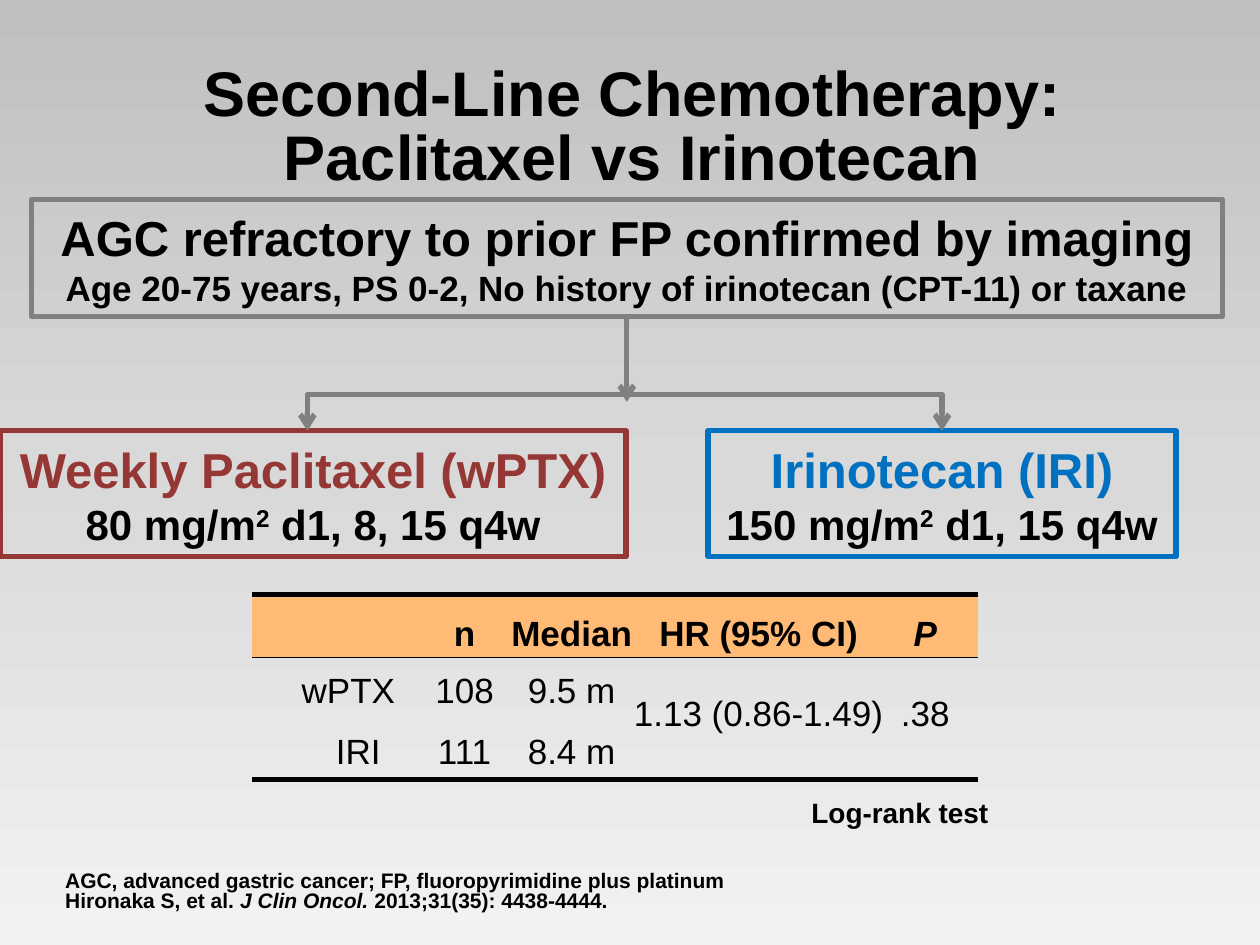
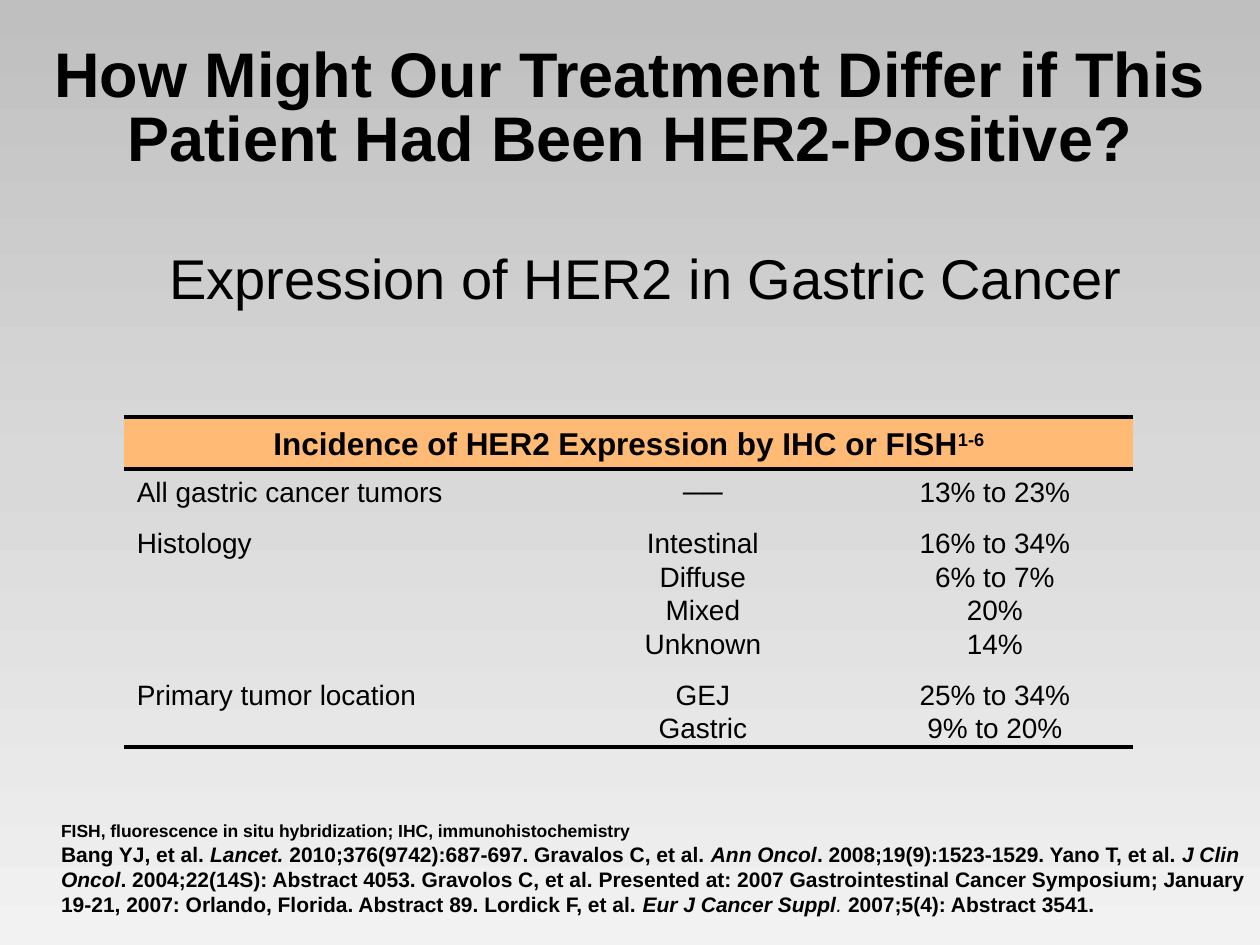
from collections import namedtuple

from lxml.etree import SubElement
from pptx import Presentation
from pptx.dml.color import RGBColor
from pptx.enum.shapes import MSO_CONNECTOR, MSO_SHAPE
from pptx.enum.text import MSO_ANCHOR, MSO_AUTO_SIZE, PP_ALIGN
from pptx.oxml.ns import qn
from pptx.util import Pt

Box = namedtuple("Box", "left top width height")

FONT = "Arial"
BLACK, GRAY = "000000", "808080"
RED, BLUE, ORANGE = "953735", "0070C0", "FFBA75"
BACKGROUND_STOPS = {0: "BFBFBF", 50: "D9D9D9", 100: "F2F2F2"}
PLAIN_TABLE_STYLE = "{2D5ABB26-0587-4C30-8999-92F81FD0307C}"
ITALIC = {"italic": True}
SUPERSCRIPT = {"baseline": 30}
CENTER, LEFT = PP_ALIGN.CENTER, PP_ALIGN.LEFT


def rgb(hex_color):
    return RGBColor.from_string(hex_color)


def points(box):
    return [Pt(length) for length in box]


def add_span(para, text, size=20, color=BLACK, bold=False, italic=False,
             font=FONT, baseline=0):
    span = para.add_run()
    span.text = text
    span.font.name = font
    span.font.size = Pt(size)
    span.font.bold = bold
    span.font.italic = italic
    span.font.color.rgb = rgb(color)
    if baseline:
        span.font._element.set("baseline", str(baseline * 1000))


def write(frame, *pieces, align=LEFT, spacing=None, new=False, **style):
    """Write one paragraph; a piece is a string or a (string, style changes) pair."""
    para = frame.add_paragraph() if new else frame.paragraphs[0]
    para.alignment = align
    if spacing:
        para.line_spacing = spacing
    for piece in pieces:
        text, changes = (piece, {}) if isinstance(piece, str) else piece
        add_span(para, text, **{**style, **changes})


def set_margins(target, left, top, right, bottom):
    target.margin_left, target.margin_top = Pt(left), Pt(top)
    target.margin_right, target.margin_bottom = Pt(right), Pt(bottom)


def add_text_box(page, box, wrap=True, anchor=MSO_ANCHOR.TOP):
    frame = page.shapes.add_textbox(*points(box)).text_frame
    frame.word_wrap = wrap
    frame.vertical_anchor = anchor
    return frame


def add_outlined_box(page, box, color):
    shape = page.shapes.add_shape(MSO_SHAPE.RECTANGLE, *points(box))
    shape.shadow.inherit = False
    shape.fill.background()
    shape.line.color.rgb = rgb(color)
    shape.line.width = Pt(3)
    frame = shape.text_frame
    frame.word_wrap = False
    frame.vertical_anchor = MSO_ANCHOR.MIDDLE
    set_margins(frame, 8.6, 4.3, 8.6, 4.3)
    return frame


def add_line(page, start, end, color=BLACK, weight=3, kind=MSO_CONNECTOR.STRAIGHT):
    line = page.shapes.add_connector(kind, *points(start + end))
    line.line.color.rgb = rgb(color)
    line.line.width = Pt(weight)
    SubElement(line._element.spPr, qn("a:effectLst"))
    return line._element.spPr


def add_arrow(page, start, end, bent=False):
    kind = MSO_CONNECTOR.ELBOW if bent else MSO_CONNECTOR.STRAIGHT
    properties = add_line(page, start, end, color=GRAY, kind=kind)
    if bent:
        properties.find(qn("a:prstGeom")).set("prst", "bentConnector2")
    SubElement(properties.find(qn("a:ln")), qn("a:tailEnd"), type="arrow")


def add_rules(page, box, header_height, weights):
    """Draw the lines above and below the header and below the table."""
    heights = (0, header_height, box.height)
    for height, weight in zip(heights, weights):
        y = box.top + height
        add_line(page, (box.left, y), (box.left + box.width, y), weight=weight)


def add_plain_table(page, box, widths, heights):
    shape = page.shapes.add_table(len(heights), len(widths), *points(box))
    table = shape.table
    table.first_row = table.horz_banding = False
    table._tbl.tblPr.find(qn("a:tableStyleId")).text = PLAIN_TABLE_STYLE
    for column, width in zip(table.columns, widths):
        column.width = Pt(width)
    for row, height in zip(table.rows, heights):
        row.height = Pt(height)
    for index, cell in enumerate(table.iter_cells()):
        if index < len(widths):
            cell.fill.solid()
            cell.fill.fore_color.rgb = rgb(ORANGE)
        else:
            cell.fill.background()
    return table


def set_background(master):
    fill = master.background.fill
    fill.gradient()
    fill.gradient_angle = 270
    stops = master.element.find(".//" + qn("a:gsLst"))
    stops.clear()
    for percent, color in BACKGROUND_STOPS.items():
        stop = SubElement(stops, qn("a:gs"), pos=str(percent * 1000))
        SubElement(stop, qn("a:srgbClr"), val=color)


def add_page(deck, title, box):
    page = deck.slides.add_slide(deck.slide_layouts[5])
    holder = page.shapes.title
    holder.left, holder.top, holder.width, holder.height = points(box)
    frame = holder.text_frame
    frame.auto_size = MSO_AUTO_SIZE.NONE
    frame.word_wrap = True
    frame.vertical_anchor = MSO_ANCHOR.MIDDLE
    write(frame, title, align=CENTER, spacing=0.85, size=36, bold=True)
    return page


def add_trial_design(page, box):
    patients = Box(box.left + 18, box.top, 680.4, 66.8)
    frame = add_outlined_box(page, patients, GRAY)
    write(frame, "AGC refractory to prior FP confirmed by imaging",
          align=CENTER, size=28, bold=True)
    write(frame, "Age 20-75 years, PS 0-2, No history of irinotecan (CPT-11) or taxane",
          align=CENTER, bold=True, new=True)

    middle = patients.left + patients.width / 2
    fork = box.top + 111.4
    arm_height = 72
    arm_top = box.top + box.height - arm_height
    add_arrow(page, (middle, patients.top + patients.height), (middle, fork + 4.3))
    arms = [
        (0, 357.8, 175.7, RED, "Weekly Paclitaxel (wPTX)", "80 mg/m", " d1, 8, 15 q4w"),
        (404.6, 267.4, 538.3, BLUE, "Irinotecan (IRI)", "150 mg/m", " d1, 15 q4w"),
    ]
    for left, width, arrow_left, color, name, dose, schedule in arms:
        arm = Box(box.left + left, arm_top, width, arm_height)
        frame = add_outlined_box(page, arm, color)
        write(frame, name, align=CENTER, size=28, bold=True, color=color)
        write(frame, dose, ("2", SUPERSCRIPT), schedule,
              align=CENTER, size=24, bold=True, new=True)
        add_arrow(page, (middle, fork), (box.left + arrow_left, arm_top), bent=True)


def add_survival_table(page, box):
    header_height = 36
    body_height = (box.height - header_height) / 2
    table = add_plain_table(page, box, [95.8, 51.4, 71, 144.7, 51.8],
                            [header_height, body_height, body_height])
    rows = [
        ["", "n", "Median", "HR (95% CI)", "P"],
        ["wPTX", "108", "9.5 m", "1.13 (0.86-1.49)", ".38"],
        ["IRI", "111", "8.4 m", "", ""],
    ]
    label_indents = [0, 14.4, 25.8]
    right_margins = [0, 0, 0, 2, 8]
    for column in (3, 4):
        table.cell(1, column).merge(table.cell(2, column))
    for row, texts in enumerate(rows):
        for column, text in enumerate(texts):
            cell = table.cell(row, column)
            merged = row > 0 and column > 2
            top, bottom = (2, 7) if merged else (5.4, 2)
            set_margins(cell, 0 if column else label_indents[row], top,
                        right_margins[column], bottom)
            cell.vertical_anchor = MSO_ANCHOR.MIDDLE if row else MSO_ANCHOR.BOTTOM
            if text:
                write(cell.text_frame, text, align=CENTER, bold=row == 0,
                      italic=text == "P")
    add_rules(page, box, header_height, (3, 1, 3))
    note = Box(box.left + 312.6, box.top + box.height + 5.4, 116.6, 26.6)
    write(add_text_box(page, note, wrap=False), "Log-rank test", size=16, bold=True)


def add_trial_notes(page, box):
    notes = [
        ["AGC, advanced gastric cancer; FP, fluoropyrimidine plus platinum"],
        ["Hironaka S, et al. ", ("J Clin Oncol. ", ITALIC), "2013;31(35): 4438-4444."],
    ]
    for index, pieces in enumerate(notes):
        line = box._replace(top=box.top + 11.5 * index)
        write(add_text_box(page, line), *pieces, size=12, bold=True)


def add_incidence_table(page, box):
    header_height = 29.5
    table = add_plain_table(page, box, [243, 175.3, 158.4],
                            [header_height, 29.2, 84.2, 45.6])
    header = table.cell(0, 0)
    header.merge(table.cell(0, 2))
    header.vertical_anchor = MSO_ANCHOR.MIDDLE
    set_margins(header, 7.2, 4.4, 7.2, 2)
    write(header.text_frame, "Incidence of HER2 Expression by IHC or FISH",
          ("1-6", SUPERSCRIPT), align=CENTER, size=18, bold=True)
    groups = [
        ("All gastric cancer tumors", {"──": "13% to 23%"}),
        ("Histology", {"Intestinal": "16% to 34%", "Diffuse": "6% to 7%",
                       "Mixed": "20%", "Unknown": "14%"}),
        ("Primary tumor location", {"GEJ": "25% to 34%", "Gastric": "9% to 20%"}),
    ]
    for row, (group, incidence) in enumerate(groups, start=1):
        for column, lines in enumerate([[group], incidence.keys(), incidence.values()]):
            cell = table.cell(row, column)
            set_margins(cell, 7.2, 3.6, 7.2, 0)
            for index, text in enumerate(lines):
                write(cell.text_frame, text, align=CENTER if column else LEFT,
                      spacing=1.08, size=16, new=index > 0,
                      font="Times New Roman" if text == "──" else FONT)
    add_rules(page, box, header_height, (2.25, 2.25, 2.25))


def add_references(page, box):
    frame = add_text_box(page, box, anchor=MSO_ANCHOR.BOTTOM)
    write(frame, "FISH, fluorescence in situ hybridization; IHC, immunohistochemistry",
          size=10, bold=True)
    write(frame, "Bang YJ, et al. ", ("Lancet. ", ITALIC),
          "2010;376(9742):687-697. Gravalos C, et al. ", ("Ann Oncol", ITALIC),
          ". 2008;19(9):1523-1529. Yano T, et al. ", ("J Clin Oncol", ITALIC),
          ". 2004;22(14S): Abstract 4053. Gravolos C, et al. Presented at: 2007 "
          "Gastrointestinal Cancer Symposium; January 19-21, 2007: Orlando, Florida. "
          "Abstract 89. Lordick F, et al. ", ("Eur J Cancer Suppl", ITALIC),
          (". ", {"italic": True, "bold": False}), "2007;5(4): Abstract 3541.",
          size=12, bold=True, new=True)


def main():
    deck = Presentation()
    deck.slide_width, deck.slide_height = Pt(720), Pt(540)
    set_background(deck.slide_master)

    page = add_page(deck, "Second-Line Chemotherapy: Paclitaxel vs Irinotecan",
                    Box(37.4, 28.8, 648, 90))
    add_trial_design(page, Box(0, 114, 720, 204.2))
    add_survival_table(page, Box(144, 339.8, 414.7, 105.8))
    add_trial_notes(page, Box(30.2, 492.2, 465, 21.6))

    page = add_page(deck, "How Might Our Treatment Differ if This "
                    "Patient Had Been HER2-Positive?", Box(0, 17.8, 720, 90))
    subtitle = add_text_box(page, Box(18, 141, 702, 40), anchor=MSO_ANCHOR.MIDDLE)
    write(subtitle, "Expression of HER2 in Gastric Cancer",
          align=CENTER, spacing=0.9, size=32)
    add_incidence_table(page, Box(71, 238.3, 576.7, 188.5))
    add_references(page, Box(27.8, 462, 692.2, 65.5))

    deck.save("out.pptx")


if __name__ == "__main__":
    main()
